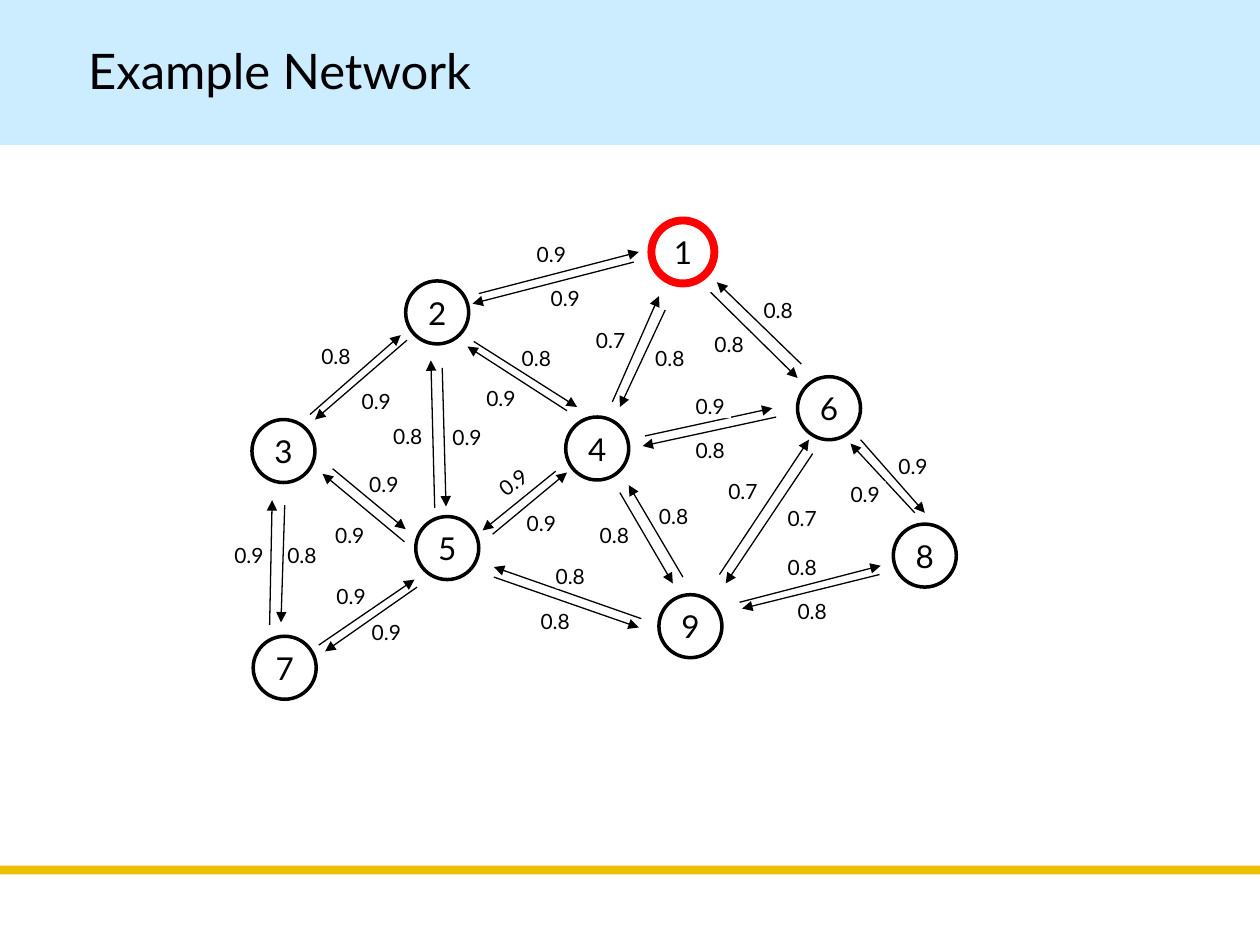
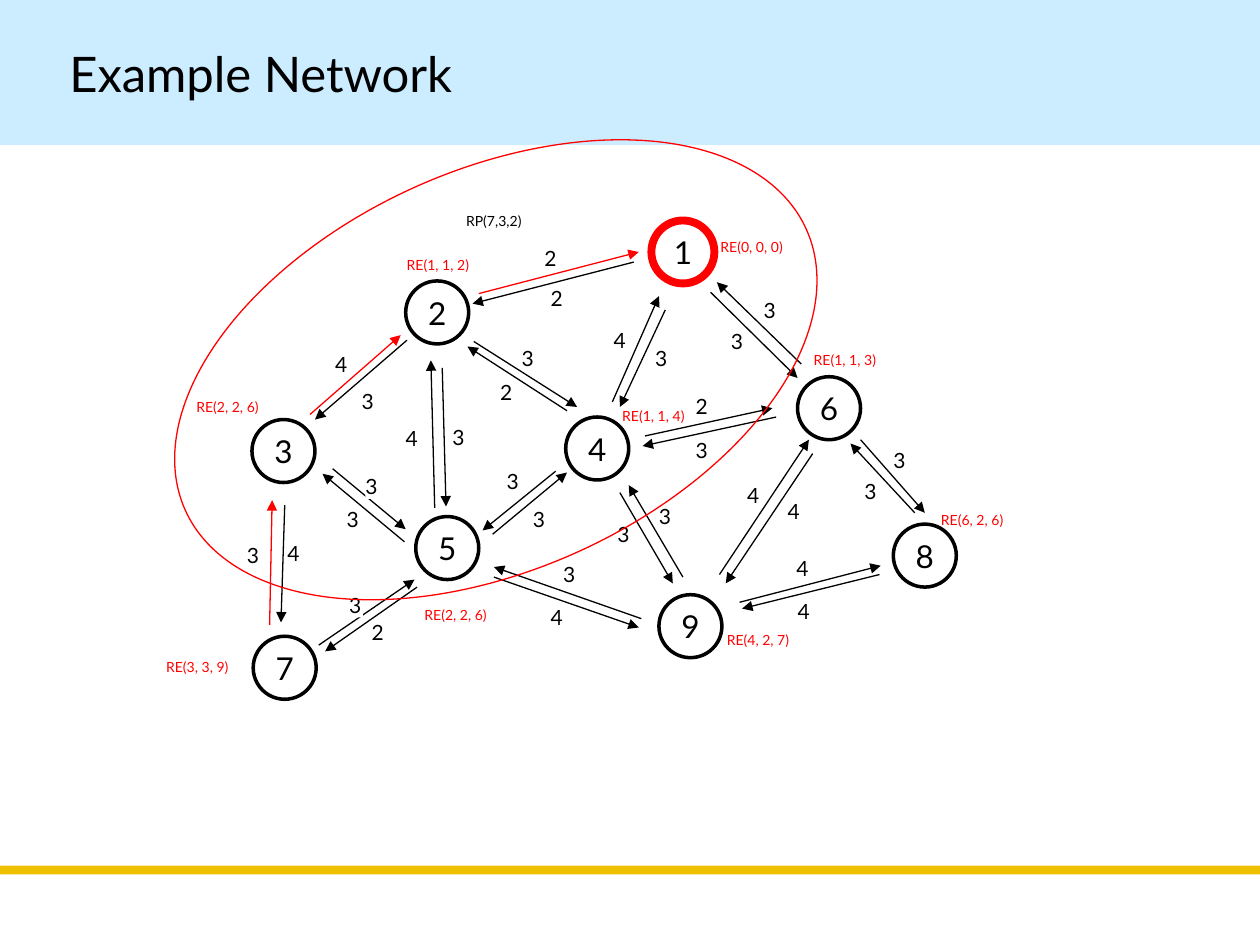
from lxml import etree
from pptx import Presentation
from pptx.dml.color import RGBColor
from pptx.enum.shapes import MSO_CONNECTOR, MSO_SHAPE
from pptx.enum.text import MSO_ANCHOR, MSO_AUTO_SIZE, PP_ALIGN
from pptx.oxml.ns import qn
from pptx.util import Inches, Pt

FONT = "Lato"
COLORS = {"black": "000000", "white": "FFFFFF", "red": "FF0000",
          "header": "CCECFF", "footer": "EEC100"}
BANDS = [((0, 0, 10, 1.15), "header"), ((0, 6.87, 10, 0.07), "footer")]
TITLE = "Example Network"
TITLE_SIZE = (3.67, 0.57)
NODE_SIZE = 0.5
LABEL_HEIGHT = 0.2
ROOT = 1

NODES = {1: (5.17, 1.75), 4: (4.49, 3.31), 3: (2, 3.33), 7: (2.01, 5.05), 5: (3.3, 4.1),
         6: (6.33, 2.99), 9: (5.23, 4.72), 8: (7.09, 4.16), 2: (3.22, 2.23)}

ARROWS = {
    (2, 1): ((3.8, 2.33), (5.07, 2)),
    (1, 2): ((5.03, 2.08), (3.75, 2.41)),
    (3, 2): ((2.46, 3.29), (3.18, 2.66)),
    (2, 3): ((3.23, 2.7), (2.5, 3.33)),
    (7, 3): ((2.14, 4.96), (2.16, 3.97)),
    (3, 7): ((2.26, 4.01), (2.23, 4.94)),
    (5, 3): ((3.21, 4.3), (2.56, 3.76)),
    (3, 5): ((2.64, 3.72), (3.22, 4.2)),
    (2, 4): ((3.76, 2.71), (4.58, 3.23)),
    (4, 2): ((4.5, 3.26), (3.71, 2.75)),
    (4, 1): ((4.86, 3.19), (5.23, 2.35)),
    (1, 4): ((5.28, 2.46), (4.92, 3.23)),
    (1, 6): ((5.64, 2.32), (6.33, 3)),
    (6, 1): ((6.36, 2.89), (5.69, 2.24)),
    (4, 5): ((4.41, 3.74), (3.83, 4.21)),
    (5, 4): ((3.91, 4.24), (4.5, 3.75)),
    (4, 6): ((5.12, 3.46), (6.13, 3.24)),
    (6, 4): ((6.16, 3.31), (5.1, 3.54)),
    (6, 8): ((6.83, 3.49), (7.34, 4.07)),
    (8, 6): ((7.26, 4.07), (6.75, 3.52)),
    (8, 9): ((6.98, 4.56), (5.89, 4.83)),
    (9, 8): ((5.87, 4.78), (6.99, 4.49)),
    (9, 4): ((5.42, 4.58), (4.99, 3.85)),
    (4, 9): ((4.92, 3.91), (5.34, 4.63)),
    (9, 5): ((5.09, 4.91), (3.92, 4.5)),
    (5, 9): ((3.92, 4.58), (5.07, 4.98)),
    (7, 5): ((2.53, 5.12), (3.29, 4.6)),
    (5, 7): ((3.31, 4.66), (2.58, 5.17)),
    (9, 6): ((5.71, 4.56), (6.42, 3.49)),
    (6, 9): ((6.45, 3.6), (5.76, 4.63)),
    (5, 2): ((3.45, 4.03), (3.42, 2.86)),
    (2, 5): ((3.51, 2.92), (3.54, 4.02)),
}

QUALITY = {
    (2, 1): ("0.9", 4.26, 1.92), (1, 2): ("0.9", 4.37, 2.27),
    (3, 2): ("0.8", 2.55, 2.73), (2, 3): ("0.9", 2.87, 3.08),
    (7, 3): ("0.9", 1.86, 4.31), (3, 7): ("0.8", 2.28, 4.31),
    (5, 3): ("0.9", 2.66, 4.15), (3, 5): ("0.9", 2.93, 3.74),
    (2, 4): ("0.8", 4.14, 2.74), (4, 2): ("0.9", 3.86, 3.06),
    (4, 1): ("0.7", 4.73, 2.6), (1, 4): ("0.8", 5.2, 2.74),
    (1, 6): ("0.8", 5.67, 2.63), (6, 1): ("0.8", 6.06, 2.36),
    (4, 5): ("0.9", 3.95, 3.71), (5, 4): ("0.9", 4.18, 4.05),
    (4, 6): ("0.9", 5.52, 3.12), (6, 4): ("0.8", 5.52, 3.47),
    (6, 8): ("0.9", 7.13, 3.6), (8, 6): ("0.9", 6.75, 3.82),
    (8, 9): ("0.8", 6.33, 4.75), (9, 8): ("0.8", 6.25, 4.4),
    (9, 4): ("0.8", 5.23, 4), (4, 9): ("0.8", 4.76, 4.15),
    (9, 5): ("0.8", 4.41, 4.47), (5, 9): ("0.8", 4.29, 4.83),
    (7, 5): ("0.9", 2.67, 4.63), (5, 7): ("0.9", 2.95, 4.92),
    (9, 6): ("0.7", 5.78, 3.8), (6, 9): ("0.7", 6.25, 4.01),
    (5, 2): ("0.8", 3.12, 3.36), (2, 5): ("0.9", 3.59, 3.37),
}

COST = {
    (2, 1): ("2", 4.32, 1.95), (1, 2): ("2", 4.37, 2.27),
    (3, 2): ("4", 2.66, 2.79), (2, 3): ("3", 2.87, 3.08),
    (7, 3): ("3", 1.96, 4.31), (3, 7): ("4", 2.28, 4.29),
    (5, 3): ("3", 2.75, 4.02), (3, 5): ("3", 2.9, 3.76),
    (2, 4): ("3", 4.14, 2.74), (4, 2): ("2", 3.97, 3.01),
    (4, 1): ("4", 4.87, 2.6), (1, 4): ("3", 5.2, 2.74),
    (1, 6): ("3", 5.8, 2.61), (6, 1): ("3", 6.06, 2.36),
    (4, 5): ("3", 4.02, 3.72), (5, 4): ("3", 4.23, 4.02),
    (4, 6): ("2", 5.52, 3.12), (6, 4): ("3", 5.52, 3.47),
    (6, 8): ("3", 7.09, 3.55), (8, 6): ("3", 6.86, 3.8),
    (8, 9): ("4", 6.33, 4.75), (9, 8): ("4", 6.32, 4.41),
    (9, 4): ("3", 5.23, 4), (4, 9): ("3", 4.9, 4.14),
    (9, 5): ("3", 4.47, 4.46), (5, 9): ("4", 4.37, 4.8),
    (7, 5): ("3", 2.77, 4.7), (5, 7): ("2", 2.95, 4.92),
    (9, 6): ("4", 5.93, 3.83), (6, 9): ("4", 6.25, 3.96),
    (5, 2): ("4", 3.22, 3.38), (2, 5): ("3", 3.59, 3.37),
}

ROUTE = [(7, 3), (3, 2), (2, 1)]
RANGE_OVAL = ((2.35, 0.23, 3.17, 5.41), 65.6)
REPLY = ("RP(7,3,2)", 3.6, 1.63)
ENTRIES = [("RE(1, 1, 3)", 6.36, 2.74), ("RE(1, 1, 2)", 3.13, 1.98),
           ("RE(0, 0, 0)", 5.62, 1.84), ("RE(2, 2, 6)", 1.46, 3.11),
           ("RE(2, 2, 6)", 3.27, 4.76), ("RE(4, 2, 7)", 5.67, 4.96),
           ("RE(6, 2, 6)", 7.37, 4.01), ("RE(3, 3, 9)", 1.22, 5.17),
           ("RE(1, 1, 4)", 4.84, 3.18)]

NETWORKS = [
    {"title_at": (0.6, 0.27), "labels": QUALITY, "label_width": 0.28,
     "route": [], "turned": {(4, 5): 323.2}},
    {"title_at": (0.45, 0.29), "labels": COST, "label_width": 0.11,
     "route": ROUTE, "turned": {}},
]


def rgb(name):
    return RGBColor.from_string(COLORS[name])


def add_shape(shapes, kind, box, fill=None, line=None, weight=0.75):
    shape = shapes.add_shape(kind, *map(Inches, box))
    shape.shadow.inherit = False
    if fill:
        shape.fill.solid()
        shape.fill.fore_color.rgb = rgb(fill)
    else:
        shape.fill.background()
    if line:
        shape.line.color.rgb = rgb(line)
        shape.line.width = Pt(weight)
    else:
        shape.line.fill.background()
    return shape


def write(shape, text, size, color="black", align=PP_ALIGN.LEFT, inset=None, grow=True):
    frame = shape.text_frame
    frame.text = text
    frame.vertical_anchor = MSO_ANCHOR.MIDDLE
    if grow:
        frame.word_wrap = False
        frame.auto_size = MSO_AUTO_SIZE.SHAPE_TO_FIT_TEXT
    if inset is not None:
        frame.margin_left = frame.margin_right = Inches(inset)
        frame.margin_top = frame.margin_bottom = Inches(inset)
    paragraph = frame.paragraphs[0]
    paragraph.alignment = align
    font = paragraph.runs[0].font
    font.name, font.size, font.color.rgb = FONT, Pt(size), rgb(color)


def add_arrow(shapes, start, tip, color):
    arrow = shapes.add_connector(MSO_CONNECTOR.STRAIGHT, *map(Inches, start + tip))
    arrow.line.color.rgb = rgb(color)
    arrow.line.width = Pt(0.75)
    etree.SubElement(arrow.line._get_or_add_ln(), qn("a:tailEnd"), type="triangle")
    etree.SubElement(arrow._element.spPr, qn("a:effectLst"))


def add_bands(slide):
    tree = slide.slide_layout.shapes.element
    for position, (box, color) in enumerate(BANDS, 2):
        band = add_shape(slide.shapes, MSO_SHAPE.RECTANGLE, box, color)
        tree.insert(position, band.element)


def set_title(slide, at):
    title = slide.shapes.title
    title.left, title.top, title.width, title.height = map(Inches, at + TITLE_SIZE)
    write(title, TITLE, 28)


def add_network(slide, network):
    shapes = slide.shapes.add_group_shape().shapes
    for number, at in NODES.items():
        line, weight = ("red", 4.5) if number == ROOT else ("black", 2)
        node = add_shape(shapes, MSO_SHAPE.OVAL, at + (NODE_SIZE, NODE_SIZE),
                         "white", line, weight)
        write(node, str(number), 18, align=PP_ALIGN.CENTER, inset=0, grow=False)
    for link, (start, tip) in ARROWS.items():
        add_arrow(shapes, start, tip, "red" if link in network["route"] else "black")
    for link, (text, left, top) in network["labels"].items():
        box = (left, top, network["label_width"], LABEL_HEIGHT)
        label = add_shape(shapes, MSO_SHAPE.RECTANGLE, box, "white")
        label.rotation = network["turned"].get(link, 0)
        write(label, text, 12, inset=0)


def add_note(slide, note, width, color):
    text, left, top = note
    box = slide.shapes.add_textbox(*map(Inches, (left, top, width, 0.24)))
    write(box, text, 8, color)


prs = Presentation()
prs.slide_width, prs.slide_height = Inches(10), Inches(7.5)
title_only = prs.slide_layouts[5]
slides = [prs.slides.add_slide(title_only) for network in NETWORKS]
add_bands(slides[0])
for slide, network in zip(slides, NETWORKS):
    set_title(slide, network["title_at"])
    add_network(slide, network)

routing = slides[1]
oval_box, angle = RANGE_OVAL
add_shape(routing.shapes, MSO_SHAPE.OVAL, oval_box, line="red").rotation = angle
add_note(routing, REPLY, 0.75, "black")
for entry in ENTRIES:
    add_note(routing, entry, 0.83, "red")

prs.save("out.pptx")
